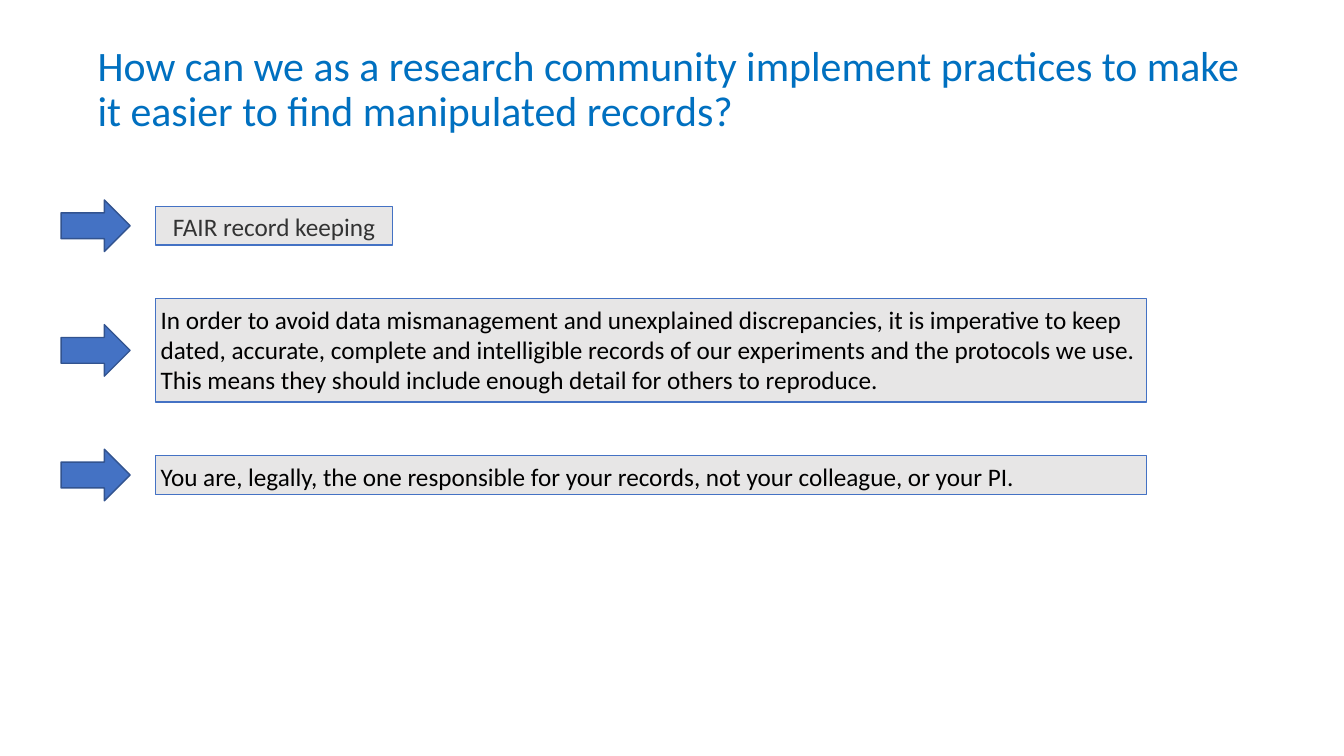
from pptx import Presentation
from pptx.dml.color import RGBColor
from pptx.enum.shapes import MSO_SHAPE as SHAPE
from pptx.enum.text import MSO_ANCHOR as ANCHOR, PP_ALIGN as ALIGN
from pptx.util import Cm, Pt


def rgb(hex_code):
    return RGBColor.from_string(hex_code)


def write(tf, text, size=18, color="000000", align=ALIGN.LEFT, spacing=None):
    tf.word_wrap = True
    tf.vertical_anchor = ANCHOR.TOP
    tf.margin_left = tf.margin_right = Cm(0.13)
    tf.margin_top = tf.margin_bottom = Cm(0.13)
    p = tf.paragraphs[0]
    p.alignment = align
    p.line_spacing = spacing
    r = p.add_run()
    r.text = text
    r.font.name = "Calibri"
    r.font.size = Pt(size)
    r.font.color.rgb = rgb(color)


class Deck:
    blue, dark_blue, gray, title_blue = "4472C4", "32538F", "E7E6E6", "0070C0"

    def __init__(self):
        self.prs = Presentation()
        self.prs.slide_width, self.prs.slide_height = Cm(33.87), Cm(19.05)
        self.s = self.prs.slides.add_slide(self.prs.slide_layouts[5])

    def title(self, text):
        sp = self.s.shapes.title
        sp.left, sp.top, sp.width, sp.height = Cm(2.33), Cm(1.01), Cm(29.21), Cm(3.68)
        write(sp.text_frame, text, size=29.9, color=self.title_blue, spacing=0.9)

    def shape(self, kind, left, middle, width, height, fill, line):
        sp = self.s.shapes.add_shape(
            kind, Cm(left), Cm(middle - height / 2), Cm(width), Cm(height))
        sp.shadow.inherit = False
        sp.fill.solid()
        sp.fill.fore_color.rgb = rgb(fill)
        sp.line.color.rgb = rgb(line)
        sp.line.width = Pt(1)
        return sp

    def arrow(self, middle):
        self.shape(SHAPE.RIGHT_ARROW, 1.54, middle, 1.74, 1.3, self.blue, self.dark_blue)

    def box(self, middle, width, height, text, **fmt):
        sp = self.shape(SHAPE.RECTANGLE, 3.92, middle, width, height, self.gray, self.blue)
        write(sp.text_frame, text, **fmt)


def main():
    deck = Deck()
    deck.title("How can we as a research community implement practices "
               "to make it easier to find manipulated records?")

    # Answers: width, height, text, format
    answers = [
        (5.97, 0.97, "FAIR record keeping", {"color": "333333", "align": ALIGN.CENTER}),
        (24.97, 2.6,
         "In order to avoid data mismanagement and unexplained discrepancies, it is "
         "imperative to keep dated, accurate, complete and intelligible records of our "
         "experiments and the protocols we use. This means they should include enough "
         "detail for others to reproduce.", {}),
        (24.97, 0.97,
         "You are, legally, the one responsible for your records, not your colleague, "
         "or your PI.", {}),
    ]

    # One arrow and one box per row, sharing a middle line
    for i, (width, height, text, fmt) in enumerate(answers):
        middle = 5.69 + 3.14 * i
        deck.box(middle, width, height, text, **fmt)
        deck.arrow(middle)

    deck.prs.save("out.pptx")


if __name__ == "__main__":
    main()
